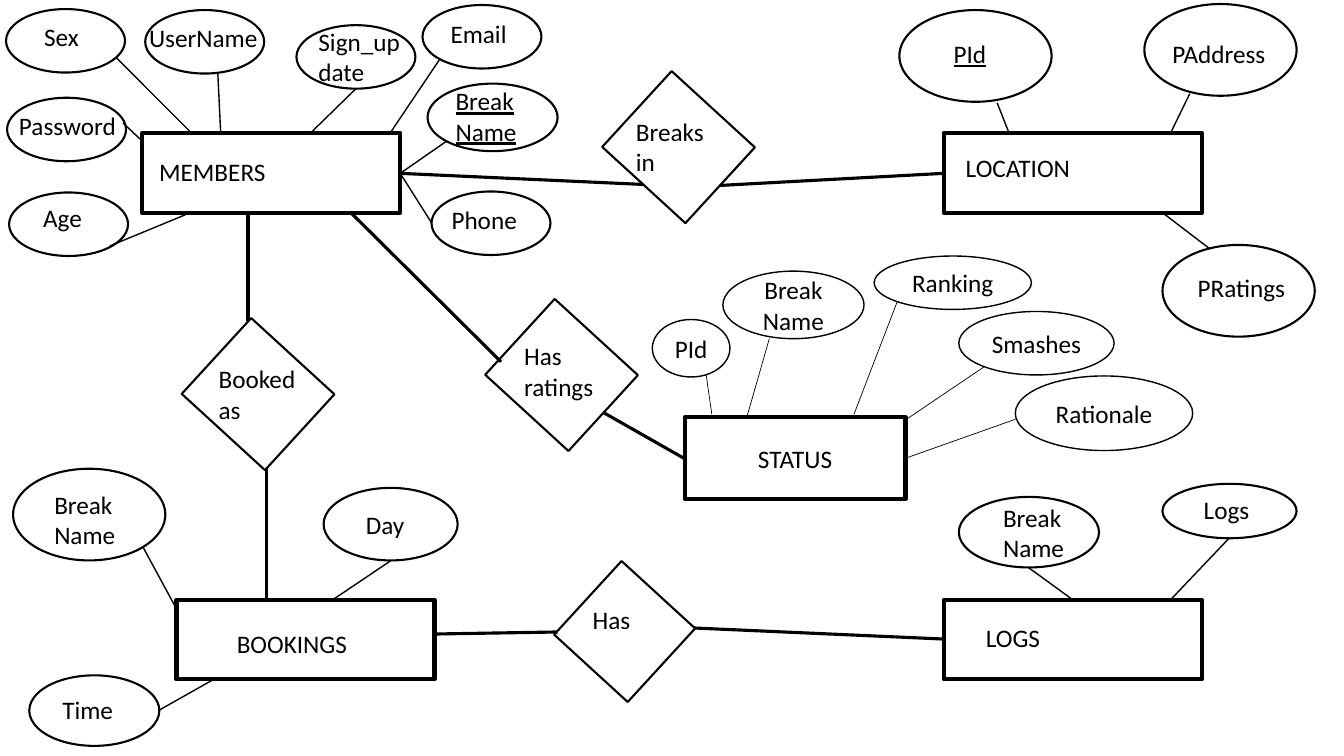
"""Build an entity-relationship diagram of members, locations, bookings, status and logs."""
from lxml.etree import SubElement
from pptx import Presentation
from pptx.dml.color import RGBColor
from pptx.enum.shapes import MSO_CONNECTOR, MSO_SHAPE
from pptx.enum.text import MSO_ANCHOR, PP_ALIGN
from pptx.oxml.ns import qn
from pptx.util import Inches, Pt

BLACK = RGBColor(0, 0, 0)
WHITE = RGBColor(255, 255, 255)
FONT = {"name": "Calibri", "size": Pt(18)}
KEYS = {"PId", "Break Name"}

ENTITY_SIZE = (2.56, 0.79)
ENTITIES = [
    ("MEMBERS", (1.41, 1.32), (1.48, 1.5, 2.32)),
    ("LOGS", (9.36, 5.95), (9.68, 6.12, 2.32)),
    ("BOOKINGS", (1.75, 5.95), (2.25, 6.18, 2.32)),
    ("LOCATION", (9.36, 1.32), (9.48, 1.46, 2.32)),
]
TILT = 42.5
RELATIONSHIPS = [
    ("Breaks\nin", (6.17, 0.95, 1.12, 1.02), (6.21, 1.1, 1.13)),
    ("Booked\nas", (2, 3.4, 1.12, 1.02), (2.07, 3.56, 1.13)),
    ("Has", (5.7, 5.77, 0.99, 0.99), (5.78, 5.95, 1.13)),
    ("Has ratings", (5.01, 3.21, 1.12, 1.02), (5.1, 3.33, 0.95)),
]
MEMBER_SIZE = (1.18, 0.63)
PLACE_SIZE = (1.51, 0.91)
ATTRIBUTES = [
    ("Break\vName", (0.13, 4.65, *PLACE_SIZE), (0.44, 4.8, 0.84)),
    ("Day", (3.21, 4.84, 1.33, 0.72), (3.53, 5, 0.84)),
    ("Time", (0.29, 6.7, 1.29, 0.7), (0.52, 6.84, 0.84)),
    ("Break\vName", (9.51, 4.93, 1.39, 0.7), (9.85, 4.93, 0.89)),
    ("Logs", (11.53, 4.8, 1.33, 0.54), (11.84, 4.86, 0.89)),
    ("PId", (8.92, 0.1, *PLACE_SIZE), (9.36, 0.33, 0.89)),
    ("PAddress", (11.35, 0.04, *PLACE_SIZE), (11.53, 0.33, 1.25)),
    ("PRatings", (11.53, 2.43, *PLACE_SIZE), (11.78, 2.65, 1.27)),
    ("Sex", (0.06, 0.09, *MEMBER_SIZE), (0.34, 0.16, 0.83)),
    ("Break Name", (4.24, 0.83, 1.29, 0.67), (4.42, 0.8, 0.83)),
    ("Phone", (4.28, 1.9, *MEMBER_SIZE), (4.38, 1.98, 1.09)),
    ("Age", (0.09, 1.91, *MEMBER_SIZE), (0.33, 1.96, 0.83)),
    ("Password", (0.07, 0.97, *MEMBER_SIZE), (0.09, 1.05, 1.53)),
    ("UserName", (1.44, 0.1, *MEMBER_SIZE), (1.38, 0.17, 1.45)),
    ("Sign_up date", (2.94, 0.25, *MEMBER_SIZE), (3.06, 0.21, 1.32)),
    ("Email", (4.19, 0.05, *MEMBER_SIZE), (4.37, 0.13, 0.83)),
]
STATUS = ("STATUS", (6.79, 4.14, 2.19, 0.81))
STATUS_ATTRIBUTES = [
    ("PId", (6.47, 3.17, 0.77, 0.57)),
    ("Break\nName", (7.17, 2.69, 1.4, 0.67)),
    ("Ranking", (8.67, 2.54, 1.56, 0.53)),
    ("Smashes", (9.51, 3.09, 1.54, 0.63)),
    ("Rationale", (10.07, 3.73, 1.76, 0.74)),
]
LINKS = {
    2.25: [
        (2.46, 3.18, 2.46, 2.13), (2.64, 4.64, 2.64, 5.95),
        (3.97, 1.72, 6.38, 1.83), (7.14, 1.84, 9.36, 1.72),
        (5.53, 6.27, 4.32, 6.29), (6.88, 6.23, 9.36, 6.34),
        (3.47, 2.1, 4.97, 3.59), (5.98, 4.09, 6.79, 4.55),
    ],
    1: [
        (1.15, 0.57, 1.88, 1.3), (2.16, 0.72, 2.19, 1.34),
        (3.53, 0.88, 3.08, 1.32), (4.36, 0.59, 3.87, 1.32),
        (4.43, 1.4, 3.97, 1.72), (4.28, 2.21, 3.97, 1.72),
        (1.09, 2.44, 1.84, 2.13), (1.22, 1.22, 1.39, 1.38),
        (9.89, 1.02, 10, 1.3), (11.8, 0.93, 11.61, 1.32),
        (12, 2.47, 11.53, 2.11), (1.75, 6.04, 1.42, 5.43),
        (3.88, 5.56, 3.3, 5.95), (1.57, 7.05, 2.12, 6.74),
        (10.2, 5.63, 10.64, 5.95), (12.19, 5.34, 11.61, 5.95),
    ],
    0.5: [
        (7.06, 4.11, 6.96, 3.41), (7.41, 4.13, 7.63, 3.36),
        (8.47, 4.11, 8.9, 2.99), (8.99, 4.16, 9.76, 3.64),
        (8.97, 4.55, 10.07, 4.16),
    ],
}

prs = Presentation()
prs.slide_width, prs.slide_height = Inches(13.33), Inches(7.5)
s = prs.slides.add_slide(prs.slide_layouts[6])


def write(sp, text, align, underline=False):
    tf = sp.text_frame
    tf.word_wrap = True
    tf.text = text
    for p in tf.paragraphs:
        p.alignment = align
        for r in p.runs:
            for key, value in {**FONT, "underline": underline or None}.items():
                setattr(r.font, key, value)
            r.font.color.rgb = BLACK


def outline(kind, box, weight, tilt=0):
    sp = s.shapes.add_shape(kind, *map(Inches, box))
    sp.shadow.inherit = False
    sp.rotation = tilt
    sp.fill.solid()
    sp.fill.fore_color.rgb = WHITE
    sp.line.color.rgb = BLACK
    sp.line.width = Pt(weight)
    return sp


def caption(text, place):
    height = 0.71 if len(text.split()) > 1 else 0.4
    sp = s.shapes.add_textbox(*map(Inches, (*place, height)))
    write(sp, text, PP_ALIGN.LEFT, text in KEYS)


def labelled(kind, text, box, weight):
    sp = outline(kind, box, weight)
    sp.text_frame.vertical_anchor = MSO_ANCHOR.MIDDLE
    write(sp, text, PP_ALIGN.CENTER)


def link(ends, weight):
    c = s.shapes.add_connector(MSO_CONNECTOR.STRAIGHT, *map(Inches, ends))
    c.line.color.rgb = BLACK
    c.line.width = Pt(weight)
    SubElement(c._element.spPr, qn("a:effectLst"))


for text, corner, place in ENTITIES:
    outline(MSO_SHAPE.RECTANGLE, (*corner, *ENTITY_SIZE), 3)
    caption(text, place)
for text, box, place in RELATIONSHIPS:
    outline(MSO_SHAPE.RECTANGLE, box, 1.5, TILT)
    caption(text, place)
for text, box, place in ATTRIBUTES:
    outline(MSO_SHAPE.OVAL, box, 1.5)
    caption(text, place)
for weight, lines in LINKS.items():
    for ends in lines:
        link(ends, weight)
labelled(MSO_SHAPE.RECTANGLE, *STATUS, 3)
for text, box in STATUS_ATTRIBUTES:
    labelled(MSO_SHAPE.OVAL, text, box, 1)

prs.save("out.pptx")
